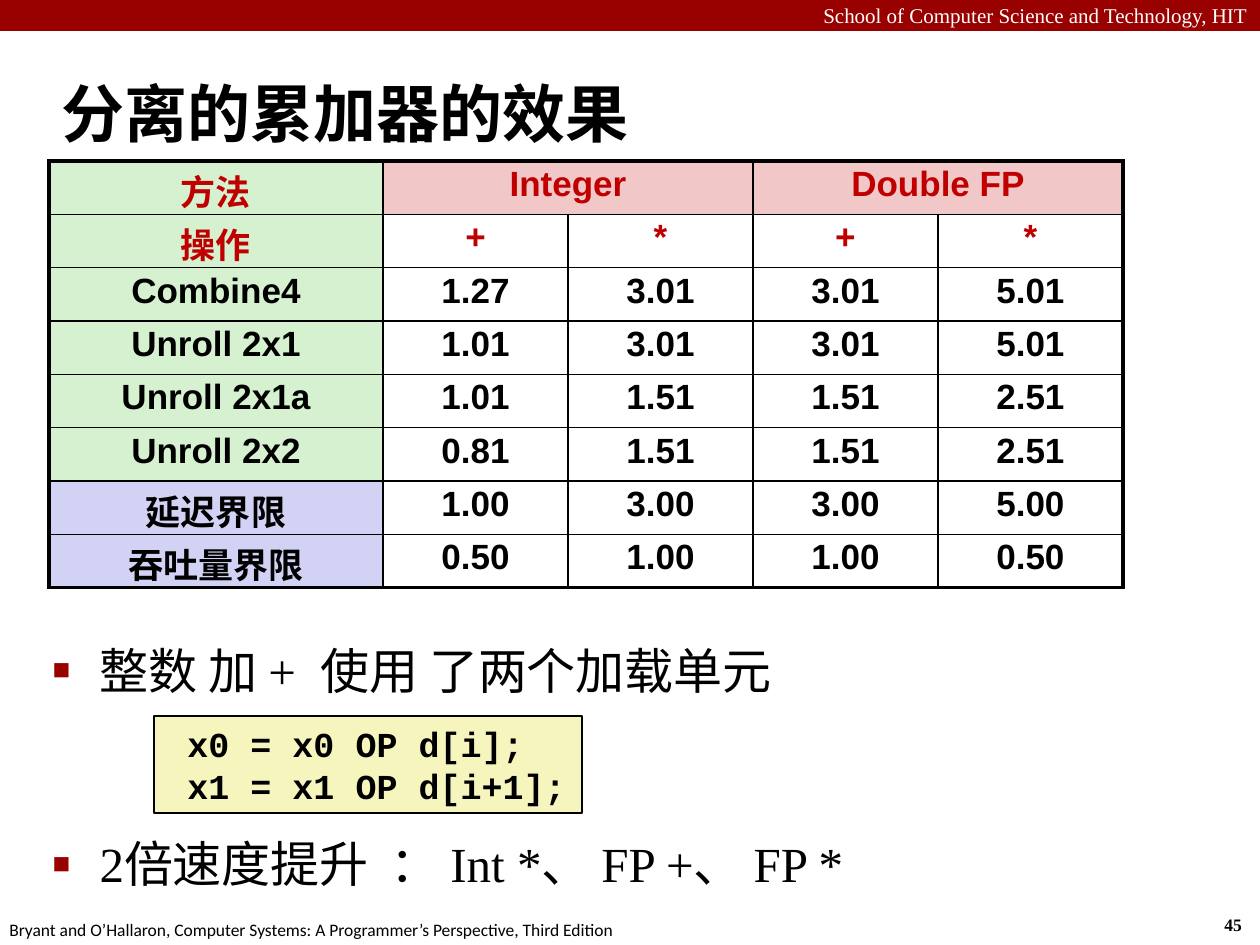
"""Build the slide on the effect of separate accumulators."""
from dataclasses import dataclass

import pptx
import pptx.util
import pptx.dml.color
import pptx.enum.shapes
import pptx.enum.text
import pptx.oxml
import pptx.oxml.ns

HEADER = "School of Computer Science and Technology, HIT"
TITLE = "分离的累加器的效果"
GROUPS = ["方法", "Integer", "", "Double FP", ""]
ROWS = [
    GROUPS,
    ["操作", "+", "*", "+", "*"],
    ["Combine4", "1.27", "3.01", "3.01", "5.01"],
    ["Unroll 2x1", "1.01", "3.01", "3.01", "5.01"],
    ["Unroll 2x1a", "1.01", "1.51", "1.51", "2.51"],
    ["Unroll 2x2", "0.81", "1.51", "1.51", "2.51"],
    ["延迟界限", "1.00", "3.00", "3.00", "5.00"],
    ["吞吐量界限", "0.50", "1.00", "1.00", "0.50"],
]
HEAD_ROWS, FIRST_BOUND = 2, 6
BULLETS = ["整数 加 +  使用 了两个加载单元", "2倍速度提升  ： Int *、 FP +、 FP *"]
CODE = [" x0 = x0 OP d[i];", " x1 = x1 OP d[i+1];"]
FOOTER = "Bryant and O’Hallaron, Computer Systems: A Programmer’s Perspective, Third Edition"
PAGE = "45"


@dataclass
class Theme:
    bar: str = "990000"
    ink: str = "000000"
    paper: str = "FFFFFF"
    heading: str = "C00000"
    method: str = "D5F1CF"
    group: str = "F1C7C7"
    bound: str = "D2D2F4"
    code: str = "F6F5BD"
    serif: str = "Times New Roman"
    sans: str = "Calibri"
    cell: str = "Arial"
    mono: str = "Courier New"
    title_size: int = 36
    body_size: int = 28
    cell_size: int = 20
    header_size: int = 12
    footer_size: int = 10
    outer: float = 2.25
    inner: float = 1
    bullet_gap: int = 77


T = Theme()
Pt = pptx.util.Pt
Align = pptx.enum.text.PP_ALIGN
NS = pptx.oxml.ns.nsdecls("a")


def px(n):
    return round(n * 914400 / 126)


def rgb(color):
    return pptx.dml.color.RGBColor.from_string(color)


def place(sp, x, y, w, h):
    sp.left, sp.top, sp.width, sp.height = px(x), px(y), px(w), px(h)


def style(p, font, size, color=T.ink, bold=False, align=Align.LEFT):
    p.alignment = align
    for r in p.runs:
        r.font.name, r.font.size, r.font.bold = font, Pt(size), bold
        r.font.color.rgb = rgb(color)


def label(s, box, text, wrap=False, **look):
    sp = s.shapes.add_textbox(*map(px, box))
    tf = sp.text_frame
    tf.word_wrap = wrap
    tf.text = text
    style(tf.paragraphs[0], **look)


def rect(s, box, fill, line=None):
    sp = s.shapes.add_shape(pptx.enum.shapes.MSO_SHAPE.RECTANGLE, *map(px, box))
    sp.shadow.inherit = False
    sp.fill.solid()
    sp.fill.fore_color.rgb = rgb(fill)
    if line:
        sp.line.color.rgb = rgb(line)
        sp.line.width = Pt(T.inner)
    else:
        sp.line.fill.background()
    return sp


def add_ppr(p, *elements):
    for tag in elements:
        p._p.get_or_add_pPr().append(pptx.oxml.parse_xml(tag.replace(" ", f" {NS} ", 1)))


def indent(p, left):
    p._p.get_or_add_pPr().set("marL", str(px(left)))
    p._p.get_or_add_pPr().set("indent", str(-px(left)))


def add_title(s):
    sp = s.shapes.title
    place(sp, 49, 60, 1211, 105)
    tf = sp.text_frame
    tf.text = TITLE
    tf.vertical_anchor = pptx.enum.text.MSO_ANCHOR.MIDDLE
    indent(tf.paragraphs[0], 16)
    style(tf.paragraphs[0], T.sans, T.title_size, bold=True)


def add_body(s):
    sp = s.placeholders[1]
    place(sp, 40, 634, 1145, 290)
    tf = sp.text_frame
    tf.text = "\n".join(BULLETS)
    tf.auto_size = pptx.enum.text.MSO_AUTO_SIZE.NONE
    for i, p in enumerate(tf.paragraphs):
        indent(p, 47)
        add_ppr(p, f'<a:buClr ><a:srgbClr val="{T.bar}"/></a:buClr>',
                '<a:buSzPct val="60000"/>', '<a:buFont typeface="Arial"/>',
                '<a:buChar char="■"/>')
        p.space_before = Pt(T.bullet_gap if i else 0)
        style(p, T.serif, T.body_size)


def add_code(s):
    tf = rect(s, (154, 716, 428, 97), T.code, T.ink).text_frame
    tf.word_wrap = False
    tf.vertical_anchor = pptx.enum.text.MSO_ANCHOR.TOP
    tf.text = "\n".join(CODE)
    for p in tf.paragraphs:
        style(p, T.mono, T.cell_size, bold=True)


def cell_fill(row, col):
    if col == 0:
        return T.bound if row >= FIRST_BOUND else T.method
    return T.group if row == 0 else None


def set_borders(cell, on_edge):
    for side, outer in on_edge.items():
        width = Pt(T.outer if outer else T.inner)
        cell._tc.get_or_add_tcPr().append(pptx.oxml.parse_xml(
            f'<a:ln{side} {NS} w="{width}"><a:solidFill><a:srgbClr val="{T.ink}"/>'
            f'</a:solidFill></a:ln{side}>'))


def add_table(s):
    n_rows, n_cols = len(ROWS), len(GROUPS)
    table = s.shapes.add_table(n_rows, n_cols, px(49), px(161), px(1074), px(427)).table
    table.first_row = table.horz_banding = False
    for i, column in enumerate(table.columns):
        column.width = px(185 if i else 334)
    for row in table.rows:
        row.height = px(427 / n_rows)
    for col in (1, 3):
        table.cell(0, col).merge(table.cell(0, col + 1))
    for i, row in enumerate(ROWS):
        for j, text in enumerate(row):
            cell = table.cell(i, j)
            cell.margin_left = cell.margin_right = px(6)
            cell.margin_top = cell.margin_bottom = px(6)
            last = j + (cell.span_width if cell.is_merge_origin else 1)
            set_borders(cell, {"L": j == 0, "R": last == n_cols,
                               "T": i == 0, "B": i == n_rows - 1})
            fill = cell_fill(i, j)
            if fill:
                cell.fill.solid()
                cell.fill.fore_color.rgb = rgb(fill)
            else:
                cell.fill.background()
            if text:
                cell.text_frame.text = text
                p = cell.text_frame.paragraphs[0]
                p.line_spacing = 0.95
                style(p, T.cell, T.cell_size, T.heading if i < HEAD_ROWS else T.ink,
                      True, Align.CENTER)


def main():
    prs = pptx.Presentation()
    prs.slide_width, prs.slide_height = px(1260), px(945)
    s = prs.slides.add_slide(prs.slide_layouts[1])
    rect(s, (0, 0, 1260, 31), T.bar)
    label(s, (0, -4, 1260, 38), HEADER, True, font=T.serif, size=T.header_size,
          color=T.paper, align=Align.RIGHT)
    label(s, (1212, 908, 47, 34), PAGE, font=T.serif, size=T.footer_size, bold=True)
    label(s, (-3, 913, 640, 34), FOOTER, font=T.sans, size=T.footer_size)
    add_title(s)
    add_body(s)
    add_code(s)
    add_table(s)
    prs.save("out.pptx")


if __name__ == "__main__":
    main()
